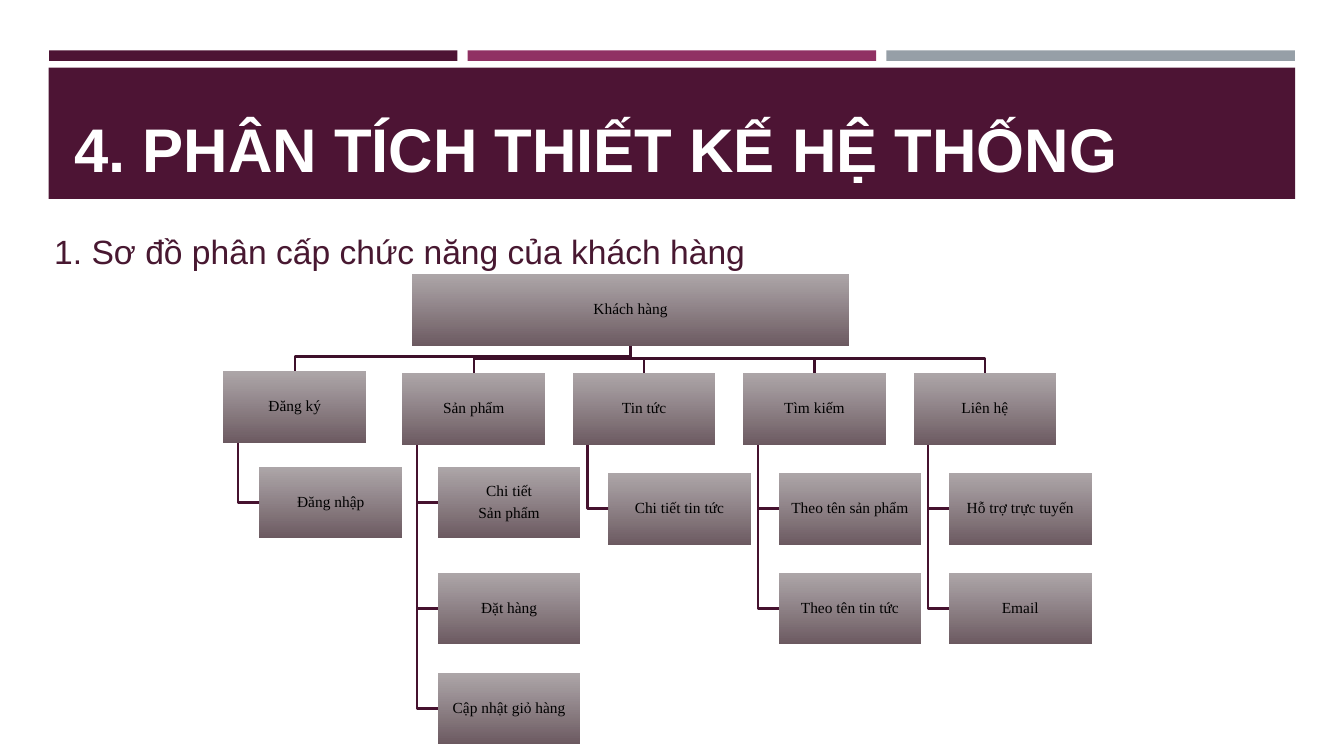
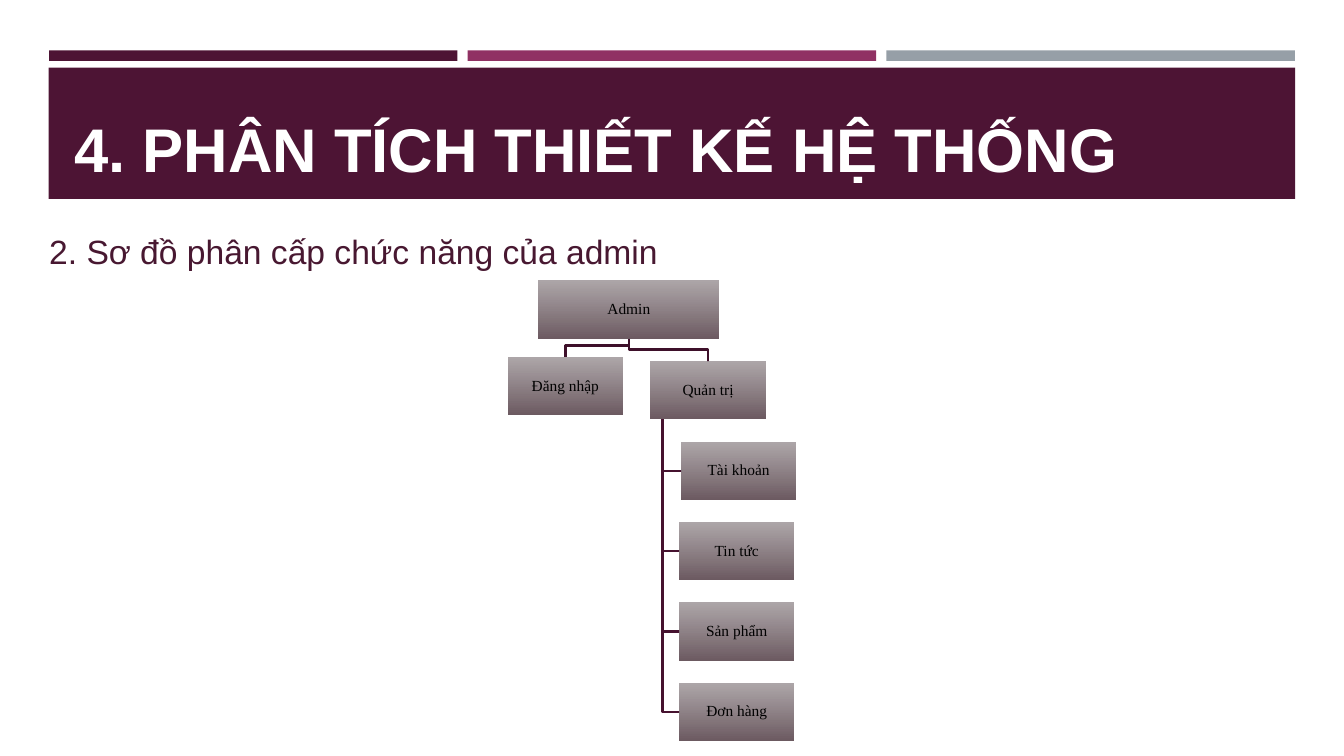
"""Build two slides with the function hierarchies of the customer and the admin."""
from dataclasses import dataclass

from lxml import etree
from pptx import Presentation
from pptx.dml.color import RGBColor
from pptx.enum.shapes import MSO_SHAPE
from pptx.enum.text import MSO_ANCHOR, PP_ALIGN
from pptx.oxml.ns import qn
from pptx.util import Pt

RECTANGLE = MSO_SHAPE.RECTANGLE
MIDDLE, BOTTOM = MSO_ANCHOR.MIDDLE, MSO_ANCHOR.BOTTOM
CENTER = PP_ALIGN.CENTER


@dataclass(frozen=True)
class Theme:
    plum: str = "4D1434"
    magenta: str = "903163"
    grey: str = "969FA7"
    white: str = "FFFFFF"
    black: str = "000000"
    heading: str = "481831"
    root_line: str = "3E102A"
    stem_line: str = "46122F"
    box_top: str = "A49C9F"
    box_bottom: str = "6C5A61"
    sans: str = "Arial"
    serif: str = "Times New Roman"
    title_size: float = 44
    heading_size: float = 24
    box_size: float = 11
    line_width: float = 1.75


THEME = Theme()
TITLE = "4. PHÂN TÍCH THIẾT KẾ HỆ THỐNG"
COLUMNS = [287.8 + 121.7 * column for column in range(4)]

# Branch: name, left, top, children; child: name, shift right, shift down.
CHARTS = [
    {
        "heading": "1. Sơ đồ phân cấp chức năng của khách hàng",
        "heading_left": 31.7,
        "root": ("Khách hàng", 294.4, 196, 312),
        "box": (101.2, 50.6),
        "pitch": 71.4,
        "branches": [
            ("Đăng ký", 160, 265.2, [("Đăng nhập", 0.4, -3)]),
            ("Sản phẩm", COLUMNS[0], 266.6, [
                ("Chi tiết\nSản phẩm", 0, -4.4),
                ("Đặt hàng", 0, 0),
                ("Cập nhật giỏ hàng", 0, 0),
            ]),
            ("Tin tức", COLUMNS[1], 266.6, [("Chi tiết tin tức", 0, 0)]),
            ("Tìm kiếm", COLUMNS[2], 266.6, [
                ("Theo tên sản phẩm", 0, 0),
                ("Theo tên tin tức", 0, 0),
            ]),
            ("Liên hệ", COLUMNS[3], 266.6, [
                ("Hỗ trợ trực tuyến", 0, 0),
                ("Email", 0, 0),
            ]),
        ],
    },
    {
        "heading": "2. Sơ đồ phân cấp chức năng của admin",
        "heading_left": 28.1,
        "root": ("Admin", 385, 200.6, 128.4),
        "box": (81.7, 40.9),
        "pitch": 57.4,
        "branches": [
            ("Đăng nhập", 363, 255.3, []),
            ("Quản trị", 465, 258.4, [
                ("Tài khoản", 1.4, 0),
                ("Tin tức", 0, 0),
                ("Sản phẩm", 0, 0),
                ("Đơn hàng", 0, 0),
            ]),
        ],
    },
]


def add_label(slide, text, place, anchor, font_name, size, color, bold=False):
    """Add a left-aligned text box."""
    label = slide.shapes.add_textbox(*map(Pt, place))
    frame = label.text_frame
    frame.word_wrap = True
    frame.vertical_anchor = anchor
    frame.text = text
    font = frame.paragraphs[0].font
    font.name, font.size, font.bold = font_name, Pt(size), bold
    font.color.rgb = RGBColor.from_string(color)


def add_route(slide, points, color):
    """Add an open line through the points."""
    start, *rest = [(Pt(x), Pt(y)) for x, y in points]
    builder = slide.shapes.build_freeform(*start)
    builder.add_line_segments(rest, close=False)
    route = builder.convert_to_shape()
    route.shadow.inherit = False
    route.fill.background()
    route.line.color.rgb = RGBColor.from_string(color)
    route.line.width = Pt(THEME.line_width)


deck = Presentation()
deck.slide_width, deck.slide_height = Pt(960), Pt(540)
bands = [
    (35 + 299.1 * column, 36, 291.7, 7.5, color)
    for column, color in enumerate((THEME.plum, THEME.magenta, THEME.grey))
]
bands.append((34.8, 48.4, 890.3, 93.7, THEME.plum))

for chart in CHARTS:
    slide = deck.slides.add_slide(deck.slide_layouts[6])
    for *place, color in bands:
        band = slide.shapes.add_shape(RECTANGLE, *map(Pt, place))
        band.shadow.inherit = False
        band.fill.solid()
        band.fill.fore_color.rgb = RGBColor.from_string(color)
        band.line.fill.background()
    add_label(slide, TITLE, (46, 55.4, 868.3, 80), BOTTOM,
              THEME.sans, THEME.title_size, THEME.white, bold=True)
    add_label(slide, chart["heading"], (chart["heading_left"], 144, 559.4, 70),
              MIDDLE, THEME.sans, THEME.heading_size, THEME.heading)

    width, height = chart["box"]
    root_name, root_left, root_top, root_width = chart["root"]
    root_center, root_bottom = root_left + root_width / 2, root_top + height
    boxes = [(root_name, root_left, root_top, root_width)]
    for name, left, top, children in chart["branches"]:
        boxes.append((name, left, top, width))
        center, joint = left + width / 2, top - height * 0.21
        add_route(slide, [(root_center, root_bottom), (root_center, joint),
                          (center, joint), (center, top)], THEME.root_line)
        stem = left + width / 10
        for row, (child, shift_right, shift_down) in enumerate(children, 1):
            child_left = left + width / 4 + shift_right
            child_top = top + chart["pitch"] * row + shift_down
            child_middle = child_top + height / 2
            boxes.append((child, child_left, child_top, width))
            add_route(slide, [(stem, top + height), (stem, child_middle),
                              (child_left, child_middle)], THEME.stem_line)

    for name, left, top, box_width in boxes:
        box = slide.shapes.add_shape(RECTANGLE, Pt(left), Pt(top), Pt(box_width), Pt(height))
        box.shadow.inherit = False
        box.line.fill.background()
        box.fill.gradient()
        box.fill.gradient_angle = 270
        for stop, color in zip(box.fill.gradient_stops, (THEME.box_top, THEME.box_bottom)):
            stop.color.rgb = RGBColor.from_string(color)
        top_color = next(box.fill._xPr.iter(qn("a:srgbClr")))
        etree.SubElement(top_color, qn("a:alpha")).set("val", "90000")
        frame = box.text_frame
        frame.word_wrap = True
        frame.vertical_anchor = MIDDLE
        frame.margin_left = frame.margin_right = Pt(0.7)
        frame.margin_top = frame.margin_bottom = Pt(0.7)
        frame.text = name
        for paragraph in frame.paragraphs:
            paragraph.alignment = CENTER
            paragraph.line_spacing = 0.9
            paragraph.space_after = Pt(4)
            paragraph.font.name = THEME.serif
            paragraph.font.size = Pt(THEME.box_size)
            paragraph.font.color.rgb = RGBColor.from_string(THEME.black)

deck.save("out.pptx")
